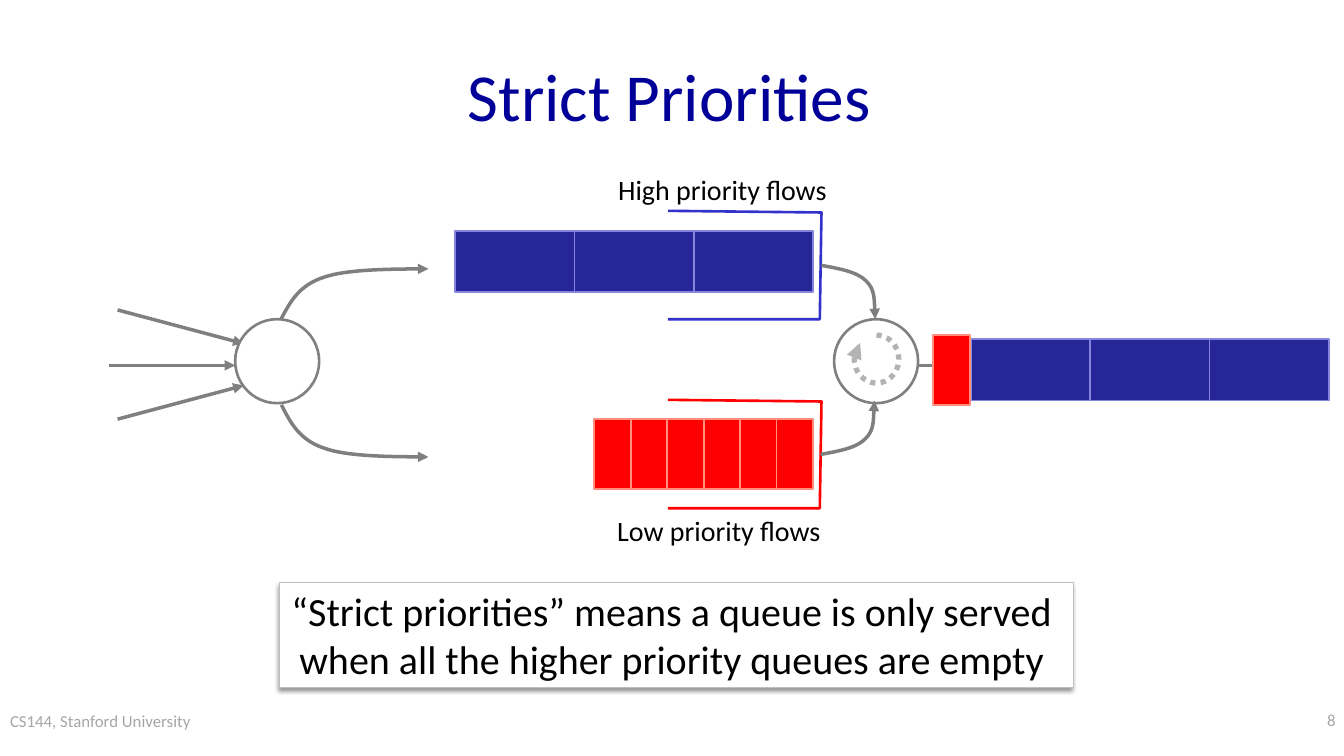
import pptx
import pptx.dml.color
import pptx.enum.dml
import pptx.enum.shapes
import pptx.enum.text
import pptx.oxml
import pptx.oxml.ns
import pptx.util

Inches = pptx.util.Inches
Pt = pptx.util.Pt
SHAPE = pptx.enum.shapes.MSO_SHAPE
ALIGN = pptx.enum.text.PP_ALIGN
ANCHOR = pptx.enum.text.MSO_ANCHOR
GROW = pptx.enum.text.MSO_AUTO_SIZE.SHAPE_TO_FIT_TEXT
qn = pptx.oxml.ns.qn


class Theme:
    font = "Calibri"
    title, text, muted = "000099", "000000", "A6A6A6"
    white, grey, curve, spin, frame = "FFFFFF", "808080", "7F7F7F", "B3B3B3", "BFBFBF"
    high = {"fill": "262699", "edge": "8585E0", "bracket": "3333CC"}
    low = {"fill": "FF0000", "edge": "FF8E7D", "bracket": "FF0000"}
    title_size, callout_size, label_size, footer_size = 57.6, 34.3, 24, 14.4


BEND = [(0, 0), (.06, .33), (.12, .67), (.29, .83), (.45, 1), (1, 1), (1, 1)]
HIGH_PACKET = (1.42, .73)
LOW_PACKET = (.44, .83)


def rgb(value):
    return pptx.dml.color.RGBColor.from_string(value)


def assign(obj, values):
    for name, value in values.items():
        setattr(obj, name, value)


def add_xml(parent, xml):
    ns = 'xmlns:a="http://schemas.openxmlformats.org/drawingml/2006/main"'
    parent.append(pptx.oxml.parse_xml(xml.replace(" ", f" {ns} ", 1)))


def style_line(sp, color, width, arrow=False, dash=None):
    sp.line.color.rgb = rgb(color)
    assign(sp.line, {"width": Pt(width), "dash_style": dash})
    if arrow:
        add_xml(sp.element.spPr.find(qn("a:ln")), '<a:tailEnd type="triangle"/>')


def write(sp, text, size, color, align=ALIGN.LEFT, **frame):
    tf = sp.text_frame
    assign(tf, frame)
    p = tf.paragraphs[0]
    p.text = text
    p.alignment = align
    assign(p.font, {"name": Theme.font, "size": Pt(size)})
    p.font.color.rgb = rgb(color)


def add_text(slide, box, *args, **kwargs):
    sp = slide.shapes.add_textbox(*map(Inches, box))
    write(sp, *args, **kwargs)


def add_preset(slide, kind, box, fill, line, width):
    sp = slide.shapes.add_shape(kind, *map(Inches, box))
    sp.shadow.inherit = False
    sp.fill.solid()
    sp.fill.fore_color.rgb = rgb(fill)
    style_line(sp, line, width)
    return sp


def add_arrow(slide, start, end):
    sp = slide.shapes.add_connector(
        pptx.enum.shapes.MSO_CONNECTOR.STRAIGHT, *map(Inches, start + end))
    style_line(sp, Theme.grey, 3, arrow=True)
    add_xml(sp.element.spPr, "<a:effectLst />")


def add_path(slide, points, color, width, arrow=False):
    points = [(Inches(x), Inches(y)) for x, y in points]
    builder = slide.shapes.build_freeform(*points[0])
    builder.add_line_segments(points[1:], close=False)
    sp = builder.convert_to_shape()
    sp.shadow.inherit = False
    sp.fill.background()
    style_line(sp, color, width, arrow)
    return sp


def add_bend(slide, x, y, w, h, bend=BEND):
    points = [(x + u * w, y + v * h) for u, v in bend]
    sp = add_path(slide, points, Theme.curve, 3, arrow=True)
    path = next(sp.element.iter(qn("a:path")))
    segments = path.findall(qn("a:lnTo"))
    for i in range(0, len(segments), 3):
        add_xml(path, "<a:cubicBezTo />")
        for segment in segments[i:i + 3]:
            path[-1].append(segment[0])
            path.remove(segment)


def add_packets(slide, left, right, top, count, size, colors):
    w, h = size
    pitch = (right - left - w) / max(count - 1, 1)
    for i in range(count):
        add_preset(slide, SHAPE.RECTANGLE, (right - w - i * pitch, top, w, h),
                   colors["fill"], colors["edge"], 1.5)


def add_classifier(slide, x, y):
    add_arrow(slide, (x, y + .55), (x + 1.5, y + .55))
    add_arrow(slide, (x + .1, y + 1.19), (x + 1.6, y + .79))
    add_arrow(slide, (x + .1, y - .11), (x + 1.6, y + .29))
    add_preset(slide, SHAPE.OVAL, (x + 1.5, y, 1, 1), Theme.white, Theme.grey, 2.25)
    add_bend(slide, x + 2.05, y - .01, 1.75, -.59)
    add_bend(slide, x + 2.05, y + 1.02, 1.75, .62)


def add_queue(slide, x, y, label, label_box, first, count, size, colors):
    bracket = [(0, 0), (1.83, .02), (1.81, 1.29), (0, 1.29)]
    add_path(slide, [(x + dx, y + dy) for dx, dy in bracket], colors["bracket"], 2.25)
    dx, dy, w, h = label_box
    add_text(slide, (x + dx, y + dy, w, h), label, Theme.label_size, Theme.text,
             word_wrap=False, auto_size=GROW)
    dx, dy = first
    add_packets(slide, x + dx, x + 1.73, y + dy, count, size, colors)


def add_scheduler(slide, x, y):
    turn = [(v, u) for u, v in BEND]
    add_bend(slide, x - .15, y - .64, .64, .64, turn)
    add_preset(slide, SHAPE.OVAL, (x, y, 1, 1), Theme.white, Theme.grey, 2.25)
    add_bend(slide, x - .16, y + 1.61, .64, -.64, turn)
    sp = slide.shapes.add_shape(SHAPE.ARC, *map(Inches, (x + .24, y + .19, .53, .57)))
    sp.shadow.inherit = False
    sp.fill.background()
    sp.adjustments[0], sp.adjustments[1] = 162, 134.75
    style_line(sp, Theme.spin, 4.5, True, pptx.enum.dml.MSO_LINE.ROUND_DOT)


def add_output(slide, x, y):
    add_arrow(slide, (x, y), (x + 4.65, y))
    add_packets(slide, x + .63, x + 4.89, y - .31, 3, HIGH_PACKET, Theme.high)
    add_packets(slide, x + .18, x + .62, y - .36, 1, LOW_PACKET, Theme.low)


def add_callout(slide, box):
    sp = add_preset(slide, SHAPE.RECTANGLE, box, Theme.white, Theme.frame, .75)
    write(sp, "“Strict priorities” means a queue is only served \v"
              "when all the higher priority queues are empty ",
          Theme.callout_size, Theme.text, ALIGN.CENTER,
          word_wrap=False, auto_size=GROW, vertical_anchor=ANCHOR.TOP)
    add_xml(sp.element.spPr.find(qn("a:effectLst")),
            f'<a:outerShdw blurRad="{Pt(4)}" dist="{Pt(3)}" dir="8100000" algn="tr" rotWithShape="0">'
            '<a:srgbClr val="000000"><a:alpha val="40000"/></a:srgbClr></a:outerShdw>')


def add_title(slide, box):
    sp = slide.shapes.title
    assign(sp, dict(zip(("left", "top", "width", "height"), map(Inches, box))))
    write(sp, "Strict Priorities", Theme.title_size, Theme.title, ALIGN.CENTER,
          vertical_anchor=ANCHOR.MIDDLE)


def add_footer(slide, x, y, w, h):
    add_text(slide, (x, y, 3.87, h), "CS144, Stanford University",
             Theme.footer_size, Theme.muted, word_wrap=True,
             margin_left=Inches(.12), margin_top=Inches(.06))
    add_text(slide, (x + w - 3.33, y, 3.33, h), "8", Theme.footer_size, Theme.muted,
             ALIGN.RIGHT, word_wrap=True)


def main():
    prs = pptx.Presentation()
    assign(prs, {"slide_width": Inches(16), "slide_height": Inches(9)})
    slide = prs.slides.add_slide(prs.slide_layouts[5])
    add_title(slide, (1.17, .38, 13.6, 1.5))
    add_classifier(slide, 1.3, 3.8)
    add_queue(slide, 7.95, 2.51, "High priority flows", (-.69, -.51, 2.71, .5),
              (-2.53, .24), 3, HIGH_PACKET, Theme.high)
    add_queue(slide, 7.95, 4.76, "Low priority flows", (-.7, 1.31, 2.64, .5),
              (-.88, .23), 6, LOW_PACKET, Theme.low)
    add_scheduler(slide, 9.93, 3.8)
    add_output(slide, 10.93, 4.35)
    add_callout(slide, (3.33, 6.93, 9.45, 1.25))
    add_footer(slide, 0, 8.4, 16, .6)
    prs.save("out.pptx")


if __name__ == "__main__":
    main()
